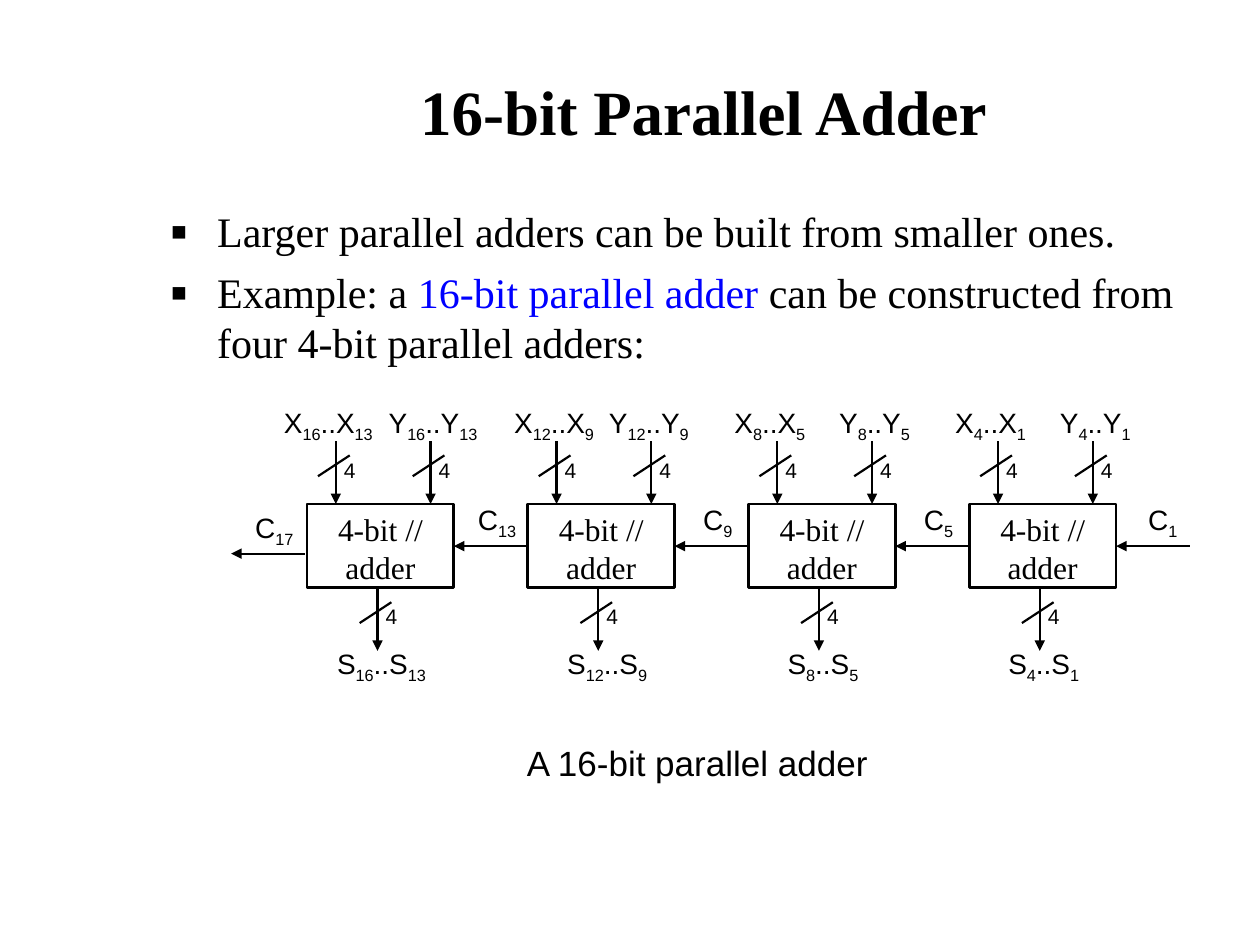
from dataclasses import dataclass
from typing import Any

import pptx
import pptx.dml.color
import pptx.enum.shapes
import pptx.enum.text
import pptx.oxml.ns
import pptx.util
from lxml import etree

Cm = pptx.util.Cm
Pt = pptx.util.Pt
CENTER = pptx.enum.text.PP_ALIGN.CENTER
LEFT = pptx.enum.text.PP_ALIGN.LEFT


@dataclass(frozen=True)
class Theme:
    """Colours, fonts, type sizes and line widths of the slide."""
    ink: str = "000000"
    accent: str = "0000FF"
    serif: str = "Times New Roman"
    sans: str = "Arial"
    title: float = 36
    body: float = 24
    caption: float = 20
    adder: float = 18
    signal: float = 16
    width: float = 12
    box_line: float = 1.5
    wire: float = 1.25


@dataclass(frozen=True)
class Adder:
    """A 4-bit adder; the nudge draws its signal labels closer together."""
    left: float
    high: int
    nudge: float = 0

    @property
    def low(self) -> int:
        """Number of the lowest bit."""
        return self.high - 3


THEME = Theme()
PITCH, BOX_LEFT, BOX_TOP, BOX_WIDTH, BOX_HEIGHT = 4.45, 6.19, 10.16, 2.96, 1.69
BUS_LENGTH, CARRY_LENGTH = 1.27, 1.48
CARRY_Y, CARRY_OUT_DROP = 11.01, 0.15
LABEL_HEIGHT = 1.04
ADDERS = [Adder(BOX_LEFT + PITCH * i, 16 - 4 * i, 0.1 if i == 1 else 0) for i in range(4)]


def apply(target: Any, values: dict[str, Any]) -> None:
    """Set each named attribute on the target."""
    for name, value in values.items():
        setattr(target, name, value)


def add_run(paragraph: Any, text: str, font: str, size: float,
            color: str = THEME.ink, bold: bool = False, subscript: bool = False) -> None:
    """Append one formatted run."""
    run = paragraph.add_run()
    run.text = text
    apply(run.font, {"name": font, "size": Pt(size), "bold": bold})
    run.font.color.rgb = pptx.dml.color.RGBColor.from_string(color)
    if subscript:
        run.font._element.set("baseline", "-25000")


def add_text(slide: Any, left: float, top: float, width: float, height: float) -> Any:
    """Add a wrapping text box and return its frame."""
    frame = slide.shapes.add_textbox(Cm(left), Cm(top), Cm(width), Cm(height)).text_frame
    frame.word_wrap = True
    return frame


def add_label(slide: Any, left: float, top: float, width: float, height: float,
              parts: list[str], size: float, align: Any = CENTER) -> None:
    """Add a label in which every second part is a subscript."""
    paragraph = add_text(slide, left, top, width, height).paragraphs[0]
    apply(paragraph, {"alignment": align, "space_before": Pt(size * 0.625)})
    for index, part in enumerate(parts):
        add_run(paragraph, part, THEME.sans, size, subscript=index % 2 == 1)


def add_wire(slide: Any, x1: float, y1: float, x2: float, y2: float,
             arrow: bool = False) -> None:
    """Draw a line, with an arrowhead at its end if asked."""
    wire = slide.shapes.add_connector(
        pptx.enum.shapes.MSO_CONNECTOR.STRAIGHT, Cm(x1), Cm(y1), Cm(x2), Cm(y2))
    wire.line.width = Pt(THEME.wire)
    wire.line.color.rgb = pptx.dml.color.RGBColor.from_string(THEME.ink)
    if arrow:
        etree.SubElement(wire.line._get_or_add_ln(),
                         pptx.oxml.ns.qn("a:tailEnd"), type="triangle")
    etree.SubElement(wire._element.spPr, pptx.oxml.ns.qn("a:effectLst"))


def add_bus(slide: Any, x: float, top: float) -> None:
    """Draw a downward arrow with the slash and count of a 4-wire bus."""
    add_wire(slide, x, top, x, top + BUS_LENGTH, arrow=True)
    add_wire(slide, x + 0.28, top + 0.29, x - 0.36, top + 0.71)
    add_label(slide, x - 0.14, top + 0.2, 0.84, 0.76, ["4"], THEME.width)


def add_signal(slide: Any, letter: str, adder: Adder, center: float, top: float) -> None:
    """Name the bit range carried by a bus."""
    high, low = str(adder.high), str(adder.low)
    width = 2.12 + 0.21 * (len(high + low) - 2)
    add_label(slide, adder.left + center - width / 2, top, width, LABEL_HEIGHT,
              [letter, high, f"..{letter}", low], THEME.signal)


def add_carry(slide: Any, left: float, y: float, bit: int, label_shift: float) -> None:
    """Draw a carry arrow pointing left, with its label above."""
    add_wire(slide, left + CARRY_LENGTH, y, left, y, arrow=True)
    add_label(slide, left + label_shift, y - 1, CARRY_LENGTH, LABEL_HEIGHT,
              ["C", str(bit)], THEME.signal)


def add_adder(slide: Any, adder: Adder) -> None:
    """Draw one adder with its inputs, sum output and carry input."""
    box = slide.shapes.add_shape(
        pptx.enum.shapes.MSO_SHAPE.RECTANGLE,
        Cm(adder.left), Cm(BOX_TOP), Cm(BOX_WIDTH), Cm(BOX_HEIGHT))
    box.shadow.inherit = False
    box.fill.background()
    box.line.width = Pt(THEME.box_line)
    box.line.color.rgb = pptx.dml.color.RGBColor.from_string(THEME.ink)
    apply(box.text_frame, {"word_wrap": True,
                           "vertical_anchor": pptx.enum.text.MSO_ANCHOR.TOP})
    paragraph = box.text_frame.paragraphs[0]
    apply(paragraph, {"alignment": CENTER, "space_before": Pt(11.2)})
    add_run(paragraph, "4-bit // adder", THEME.serif, THEME.adder)

    bottom = BOX_TOP + BOX_HEIGHT
    for x, top in ((0.58, BOX_TOP - BUS_LENGTH), (2.49, BOX_TOP - BUS_LENGTH), (1.42, bottom)):
        add_bus(slide, adder.left + x, top)
    add_signal(slide, "X", adder, 0.43 + adder.nudge, 8.05)
    add_signal(slide, "Y", adder, 2.54 - adder.nudge, 8.05)
    add_signal(slide, "S", adder, 1.5 + adder.nudge, 12.9)
    add_carry(slide, adder.left + BOX_WIDTH, CARRY_Y, adder.low,
              0.2 if adder.low == 1 else 0.13)


def add_title(slide: Any) -> None:
    """Place and format the title."""
    title = slide.shapes.title
    apply(title, {"left": Cm(3.39), "top": Cm(0.64), "width": Cm(21.59), "height": Cm(3.18)})
    apply(title.text_frame, {"vertical_anchor": pptx.enum.text.MSO_ANCHOR.MIDDLE,
                             "auto_size": pptx.enum.text.MSO_AUTO_SIZE.NONE})
    paragraph = title.text_frame.paragraphs[0]
    paragraph.alignment = CENTER
    add_run(paragraph, "16-bit Parallel Adder", THEME.serif, THEME.title, bold=True)


def add_bullets(slide: Any) -> None:
    """Add the bulleted introduction."""
    bullets = [
        [("Larger parallel adders can be built from smaller ones.", THEME.ink)],
        [("Example: a ", THEME.ink), ("16-bit parallel adder", THEME.accent),
         (" can be constructed from four 4-bit parallel adders:", THEME.ink)],
    ]
    frame = add_text(slide, 3.18, 4.02, 21.59, 3.61)
    for index, runs in enumerate(bullets):
        paragraph = frame.add_paragraph() if index else frame.paragraphs[0]
        apply(paragraph, {"alignment": LEFT, "space_before": Pt(6)})
        properties = paragraph._p.get_or_add_pPr()
        properties.set("marL", str(Cm(0.95)))
        properties.set("indent", str(Cm(-0.95)))
        for tag, name, value in (("a:buSzPct", "val", "120000"),
                                 ("a:buFont", "typeface", THEME.sans),
                                 ("a:buChar", "char", "▪")):
            etree.SubElement(properties, pptx.oxml.ns.qn(tag)).set(name, value)
        for text, color in runs:
            add_run(paragraph, text, THEME.serif, THEME.body, color)


def main() -> None:
    """Build and save the slide."""
    deck = pptx.Presentation()
    apply(deck, {"slide_width": Cm(25.4), "slide_height": Cm(19.05)})
    slide = deck.slides.add_slide(deck.slide_layouts.get_by_name("Title Only"))
    add_title(slide)
    add_bullets(slide)
    for adder in ADDERS:
        add_adder(slide, adder)
    add_carry(slide, BOX_LEFT - 0.05 - CARRY_LENGTH, CARRY_Y + CARRY_OUT_DROP, 17, 0.13)
    add_label(slide, 10.37, 14.82, 7.62, 1.11, ["A 16-bit parallel adder"], THEME.caption, LEFT)
    deck.save("out.pptx")


main()
